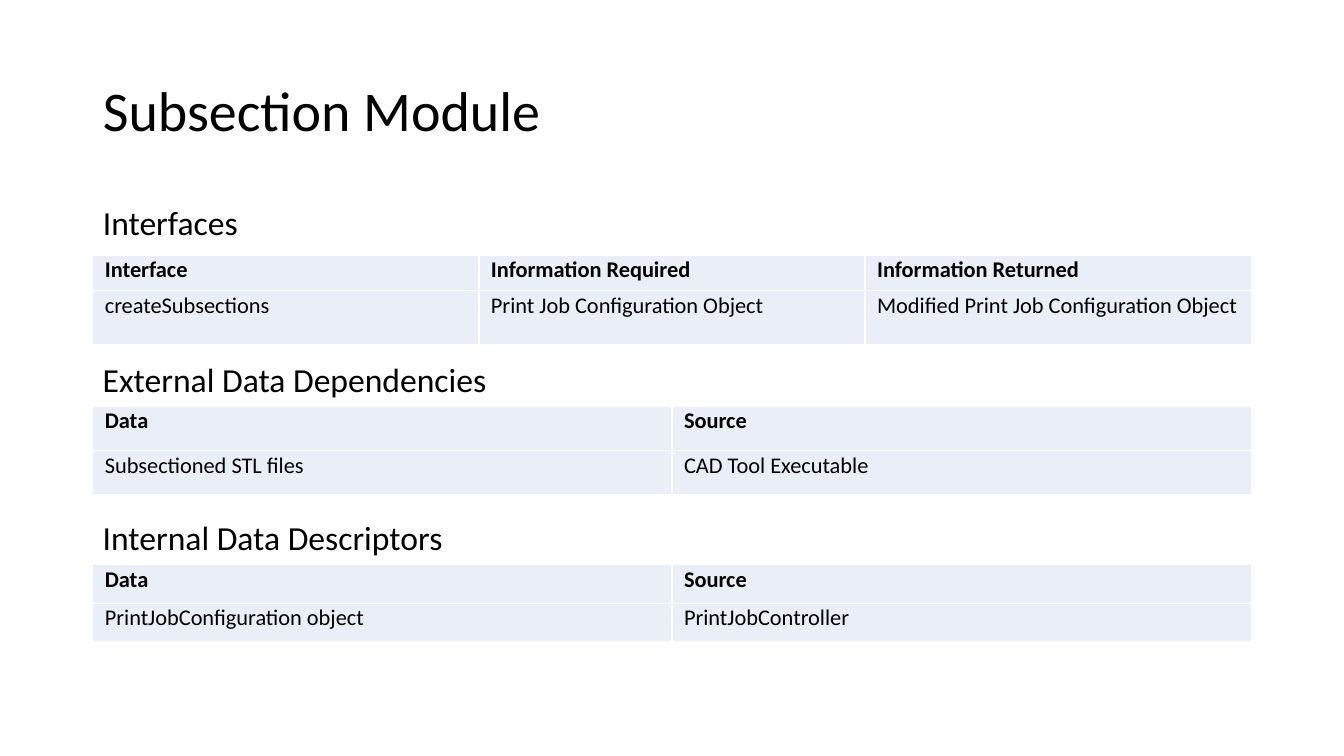
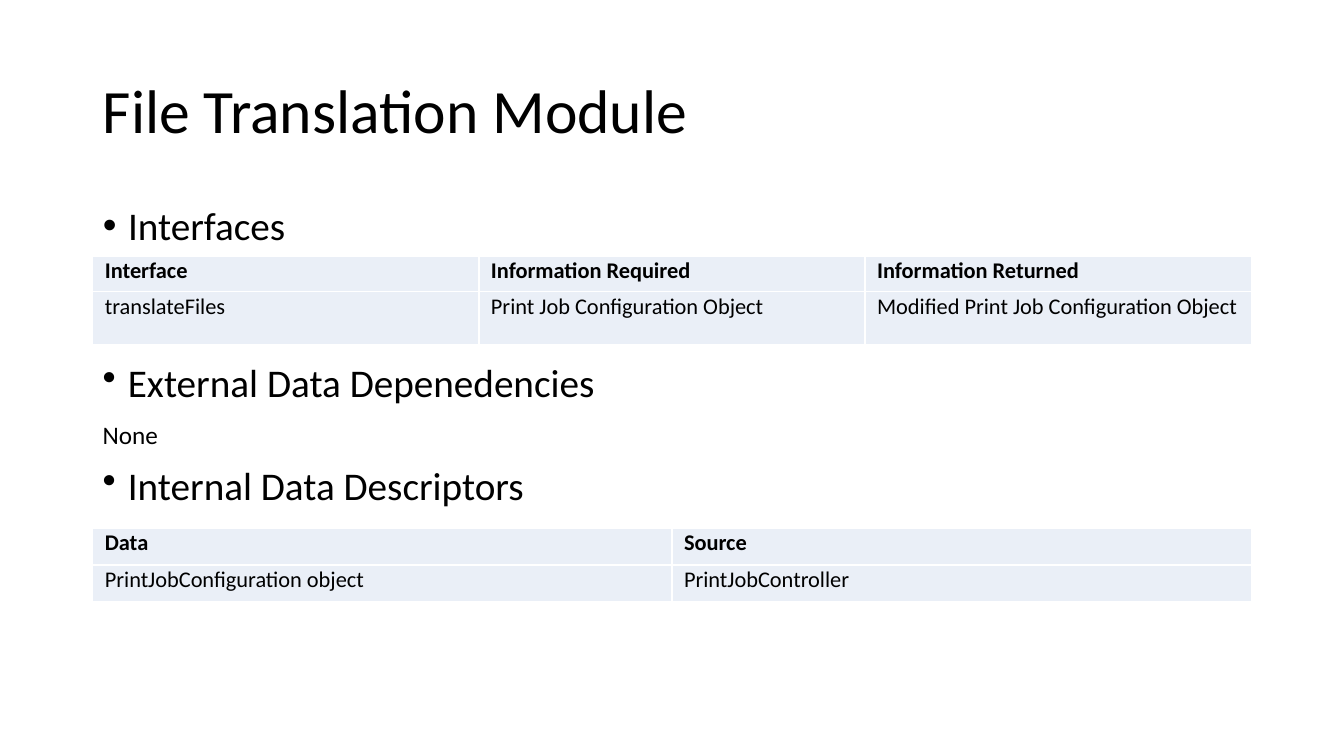
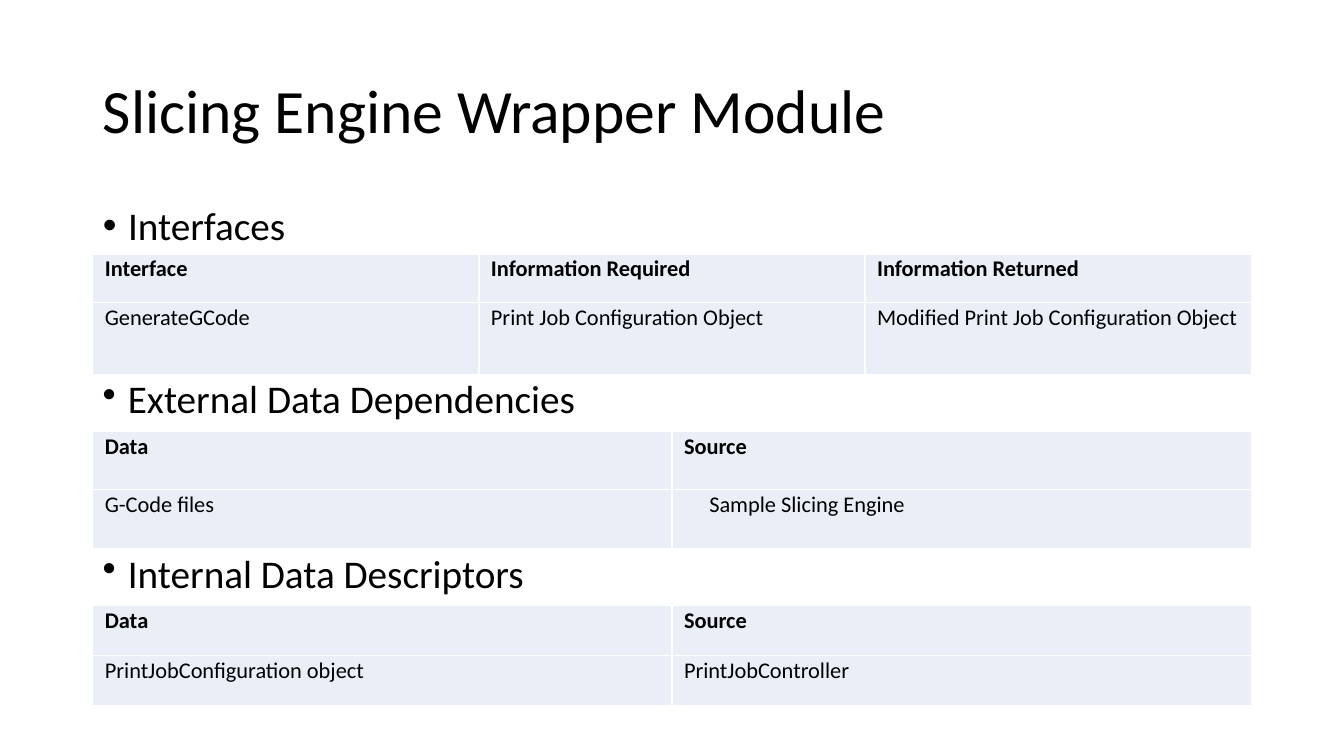
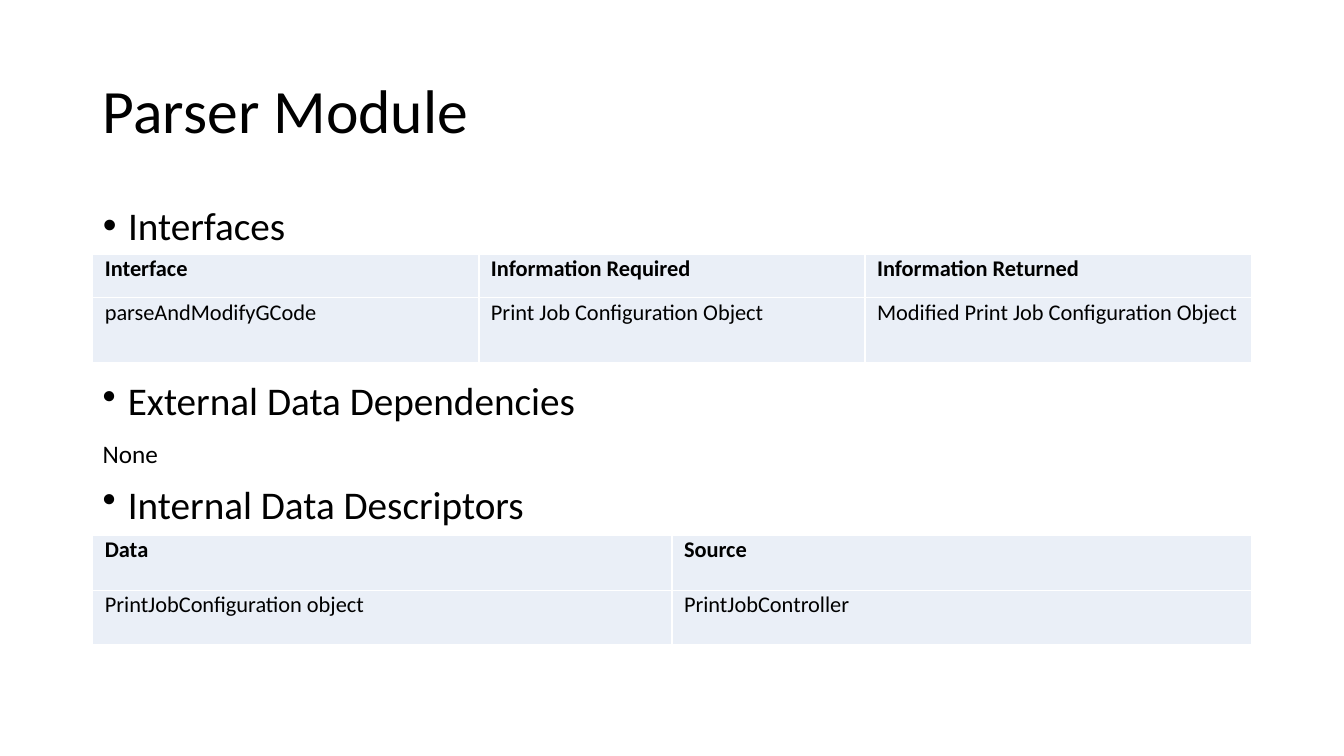
import dataclasses

import pptx
import pptx.dml.color
import pptx.enum.text
import pptx.oxml
import pptx.oxml.ns
import pptx.util

SLIDE_WIDTH, SLIDE_HEIGHT = 13.33, 7.5
MARGIN = 0.92
CONTENT_WIDTH = SLIDE_WIDTH - 2 * MARGIN
TITLE_TOP, TITLE_HEIGHT = 0.4, 1.45
FIRST_HEADING_TOP = 2
FONT = "Calibri"
TEXT_COLOR, CELL_COLOR, BORDER_COLOR = "000000", "EAEFF7", "FFFFFF"
ALIGN = pptx.enum.text.PP_ALIGN
ANCHOR = pptx.enum.text.MSO_ANCHOR
AUTO_SIZE = pptx.enum.text.MSO_AUTO_SIZE

INTERFACE_HEADER = ["Interface", "Information Required", "Information Returned"]
DATA_HEADER = ["Data", "Source"]
PRINT_JOB_ROWS = [DATA_HEADER, ["PrintJobConfiguration object", "PrintJobController"]]


@dataclasses.dataclass
class Section:
    """A heading above a table, or above the word None where there are no rows."""
    heading: str
    top: float
    content_top: float
    content_height: float
    rows: list = None
    header_share: float = 0.5
    last_cell_indent: float = 0


@dataclasses.dataclass
class Module:
    title: str
    sections: list
    title_size: int = 44
    heading_size: int = 28
    bulleted: bool = True


def inches(value):
    return pptx.util.Inches(value)


def rgb(color):
    return pptx.dml.color.RGBColor.from_string(color)


def place(shape, left, top, width, height):
    shape.left, shape.top = inches(left), inches(top)
    shape.width, shape.height = inches(width), inches(height)


def write(frame, text, size, bold=False, align=ALIGN.LEFT, spacing=1.0, before=0, after=0):
    frame.text = text
    para = frame.paragraphs[0]
    para.alignment = align
    para.line_spacing = spacing
    para.space_before = pptx.util.Pt(before)
    para.space_after = pptx.util.Pt(after)
    for span in para.runs:
        span.font.name = FONT
        span.font.size = pptx.util.Pt(size)
        span.font.bold = bold
        span.font.color.rgb = rgb(TEXT_COLOR)
    return para


def set_indent(para, left, first=0):
    properties = para._p.get_or_add_pPr()
    properties.set("marL", str(inches(left)))
    properties.set("indent", str(inches(first)))


def set_bullet(para, bulleted):
    namespace = pptx.oxml.ns.nsdecls("a")
    markup = f'<a:buChar {namespace} char="•"/>' if bulleted else f"<a:buNone {namespace}/>"
    para._p.get_or_add_pPr().append(pptx.oxml.parse_xml(markup))
    set_indent(para, 0.25 if bulleted else 0, -0.25 if bulleted else 0)


def add_title(slide, text, size):
    title = slide.shapes.title
    place(title, MARGIN, TITLE_TOP, CONTENT_WIDTH, TITLE_HEIGHT)
    write(title.text_frame, text, size, spacing=0.9)
    title.text_frame.vertical_anchor = ANCHOR.MIDDLE
    title.text_frame.auto_size = AUTO_SIZE.NONE


def format_heading(box, text, top, size, bulleted):
    place(box, MARGIN, top, CONTENT_WIDTH, size / 50)
    para = write(box.text_frame, text, size, spacing=0.9, before=10)
    set_bullet(para, bulleted)
    box.text_frame.word_wrap = True
    box.text_frame.auto_size = AUTO_SIZE.NONE


def add_text_box(slide):
    return slide.shapes.add_textbox(0, 0, 0, 0)


def add_none(slide, top, height):
    box = add_text_box(slide)
    place(box, MARGIN, top, CONTENT_WIDTH / 4, height)
    write(box.text_frame, "None", 18)
    box.text_frame.word_wrap = True


def set_borders(cell):
    properties = cell._tc.get_or_add_tcPr()
    for position, side in enumerate(["lnL", "lnR", "lnT", "lnB"]):
        properties.insert(position, pptx.oxml.parse_xml(
            f'<a:{side} {pptx.oxml.ns.nsdecls("a")} w="{pptx.util.Pt(1)}"><a:solidFill>'
            f'<a:srgbClr val="{BORDER_COLOR}"/></a:solidFill></a:{side}>'))


def format_cell(cell, text, is_header, align):
    cell.margin_left = cell.margin_right = inches(0.12)
    cell.margin_top = cell.margin_bottom = 0
    write(cell.text_frame, text, 16, is_header, align, spacing=1.05, after=8)
    cell.fill.solid()
    cell.fill.fore_color.rgb = rgb(CELL_COLOR)
    set_borders(cell)


def add_table(slide, section):
    rows = section.rows
    column_count = len(rows[0])
    table = slide.shapes.add_table(
        len(rows), column_count, inches(MARGIN), inches(section.content_top),
        inches(CONTENT_WIDTH), inches(section.content_height)).table
    table.horz_banding = False
    for column in table.columns:
        column.width = inches(CONTENT_WIDTH / column_count)
    shares = [section.header_share, 1 - section.header_share]
    for row_index, (texts, share) in enumerate(zip(rows, shares)):
        table.rows[row_index].height = inches(section.content_height * share)
        is_header = row_index == 0
        justified = is_header or rows[0] == DATA_HEADER
        for column_index, text in enumerate(texts):
            format_cell(table.cell(row_index, column_index), text, is_header,
                        ALIGN.JUSTIFY if justified else ALIGN.LEFT)
    last_cell = table.cell(len(rows) - 1, column_count - 1)
    set_indent(last_cell.text_frame.paragraphs[0], section.last_cell_indent)


def add_module_slide(deck, module):
    slide = deck.slides.add_slide(deck.slide_layouts[1])
    add_title(slide, module.title, module.title_size)
    for index, section in enumerate(module.sections):
        box = slide.placeholders[1] if index == 0 else add_text_box(slide)
        format_heading(box, section.heading, section.top, module.heading_size, module.bulleted)
        if section.rows:
            add_table(slide, section)
        else:
            add_none(slide, section.content_top, section.content_height)


def interfaces(name, top, height):
    rows = [INTERFACE_HEADER,
            [name, "Print Job Configuration Object", "Modified Print Job Configuration Object"]]
    return Section("Interfaces", FIRST_HEADING_TOP, top, height, rows, header_share=0.4)


def external(top, content_top, height, data=None, heading="External Data Dependencies", indent=0):
    rows = [DATA_HEADER, data] if data else None
    return Section(heading, top, content_top, height, rows, last_cell_indent=indent)


def internal(top, content_top, height):
    return Section("Internal Data Descriptors", top, content_top, height, PRINT_JOB_ROWS)


MODULES = [
    Module("Subsection Module", [
        interfaces("createSubsections", 2.53, 0.89),
        external(3.56, 4.03, 0.88, ["Subsectioned STL files", "CAD Tool Executable"]),
        internal(5.12, 5.6, 0.77),
    ], title_size=40, heading_size=24, bulleted=False),
    Module("File Translation Module", [
        interfaces("translateFiles", 2.54, 0.88),
        external(3.56, 4.11, 0.4, heading="External Data Depenedencies"),
        internal(4.58, 5.24, 0.73),
    ]),
    Module("Slicing Engine Wrapper Module", [
        interfaces("GenerateGCode", 2.52, 1.2),
        external(3.72, 4.28, 1.16, ["G-Code files", "Sample Slicing Engine"], indent=0.25),
        internal(5.45, 6.01, 0.99),
    ]),
    Module("Parser Module", [
        interfaces("parseAndModifyGCode", 2.52, 1.08),
        external(3.74, 4.3, 0.4),
        internal(4.77, 5.31, 1.09),
    ]),
]


def main():
    deck = pptx.Presentation()
    deck.slide_width, deck.slide_height = inches(SLIDE_WIDTH), inches(SLIDE_HEIGHT)
    for module in MODULES:
        add_module_slide(deck, module)
    deck.save("out.pptx")


if __name__ == "__main__":
    main()
